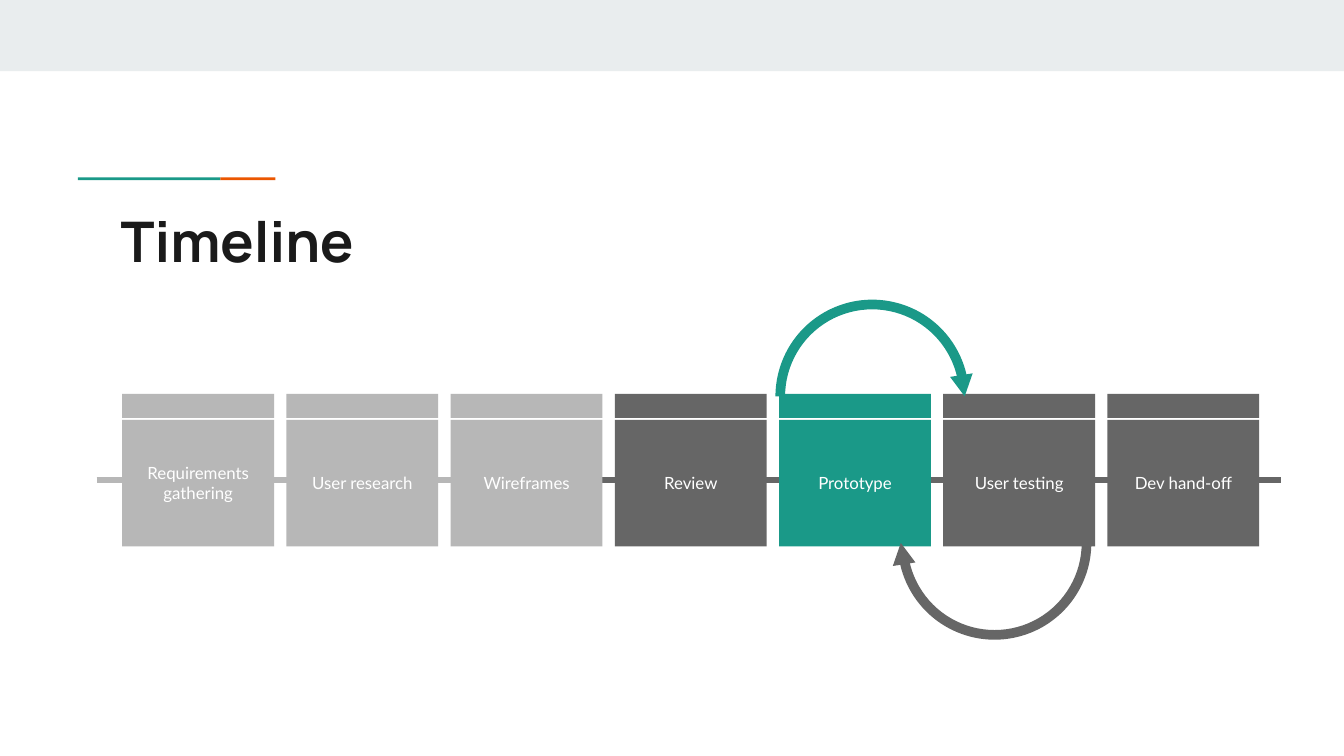
from pptx import Presentation
from pptx.dml.color import RGBColor
from pptx.enum.shapes import MSO_CONNECTOR as Connector, MSO_SHAPE as Shape
from pptx.enum.text import MSO_ANCHOR as Anchor, PP_ALIGN as Align
from pptx.oxml.ns import qn
from pptx.util import Inches, Pt
from lxml import etree

COLORS = {
    "band": "E9EDEE", "teal": "1A9988", "orange": "EB5600", "done": "B7B7B7",
    "next": "666666", "title": "1A1A1A", "white": "FFFFFF",
}

slide_width = 10
slide_height = slide_width * 9 / 16

presentation = Presentation()
presentation.slide_width = Inches(slide_width)
presentation.slide_height = Inches(slide_height)
slide = presentation.slides.add_slide(presentation.slide_layouts[6])


def add_block(kind, left, top, width, height, color, rotation=0):
    shape = slide.shapes.add_shape(
        kind, Inches(left), Inches(top), Inches(width), Inches(height))
    shape.shadow.inherit = False
    shape.fill.solid()
    shape.fill.fore_color.rgb = RGBColor.from_string(COLORS[color])
    shape.line.fill.background()
    shape.rotation = rotation
    return shape


def write_text(shape, text, font_name, size, color, bold=False):
    frame = shape.text_frame
    frame.word_wrap = True
    frame.margin_left = frame.margin_right = Inches(0.1)
    frame.margin_top = frame.margin_bottom = Inches(0.1)
    frame.text = text
    font = frame.paragraphs[0].runs[0].font
    font.name, font.size, font.bold = font_name, Pt(size), bold
    font.color.rgb = RGBColor.from_string(COLORS[color])
    return frame


add_block(Shape.RECTANGLE, 0, 0, slide_width, 0.53, "band")
add_block(Shape.RECTANGLE, 0.58, 1.32, 1.06, 0.02, "teal")
add_block(Shape.RECTANGLE, 1.64, 1.32, 0.41, 0.02, "orange")

title = slide.shapes.add_textbox(Inches(0.8), Inches(1.44), Inches(8.41), Inches(0.59))
write_text(title, "Timeline", "Manrope", 30, "title", bold=True)

axis_y = Inches(3.57)
for start, end, color in [(4.45, 9.53, "next"), (0.72, 4.24, "done")]:
    axis = slide.shapes.add_connector(
        Connector.STRAIGHT, Inches(start), axis_y, Inches(end), axis_y)
    axis.line.color.rgb = RGBColor.from_string(COLORS[color])
    axis.line.width = Pt(3)
    etree.SubElement(axis._element.spPr, qn("a:effectLst"))

steps = [
    ("Requirements gathering", "done"), ("User research", "done"),
    ("Wireframes", "done"), ("Review", "next"), ("Prototype", "teal"),
    ("User testing", "next"), ("Dev hand-off", "next"),
]
first_left, last_left, step_width = 0.91, 8.24, 1.13
pitch = (last_left - first_left) / (len(steps) - 1)
body_top = slide_height * 5 / 9

for column, (label, color) in enumerate(steps):
    left = first_left + column * pitch
    add_block(Shape.RECTANGLE, left, 2.93, step_width, 0.18, color)
    body = add_block(Shape.RECTANGLE, left, body_top, step_width, 0.94, color)
    frame = write_text(body, label, "Lato", 9, "white")
    frame.vertical_anchor = Anchor.MIDDLE
    frame.paragraphs[0].alignment = Align.CENTER

loops = [
    (5.77, 2.23, 7.08, 2.79, 0, "teal"),
    (6.68, 3.32, 6.63, 4.04, 180, "next"),
]
for arc_left, arc_top, head_left, head_top, turn, color in loops:
    arc = add_block(Shape.BLOCK_ARC, arc_left, arc_top, 1.44, 1.44, color, turn)
    for index, value in enumerate([108, 211.46, 0.05]):
        arc.adjustments[index] = value
    add_block(Shape.ISOSCELES_TRIANGLE, head_left, head_top, 0.17, 0.16, color, 171.1 + turn)

presentation.save("out.pptx")
